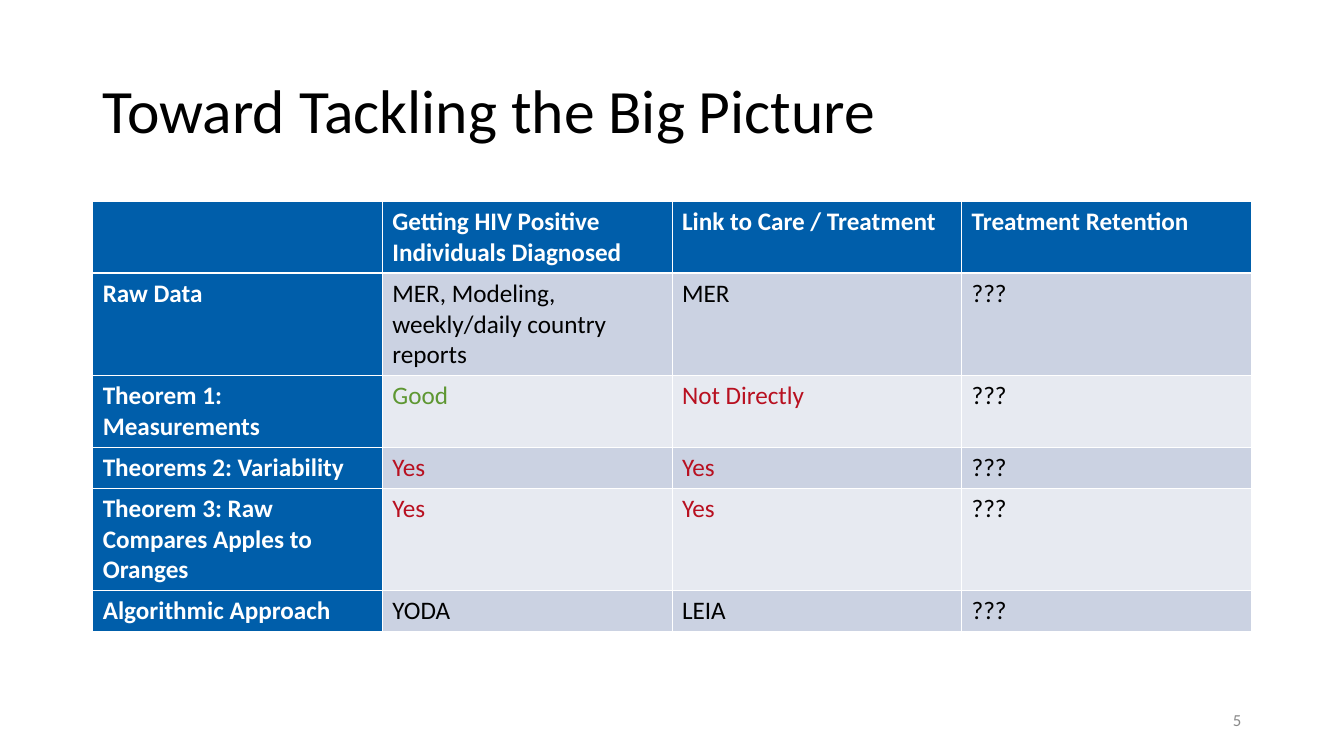
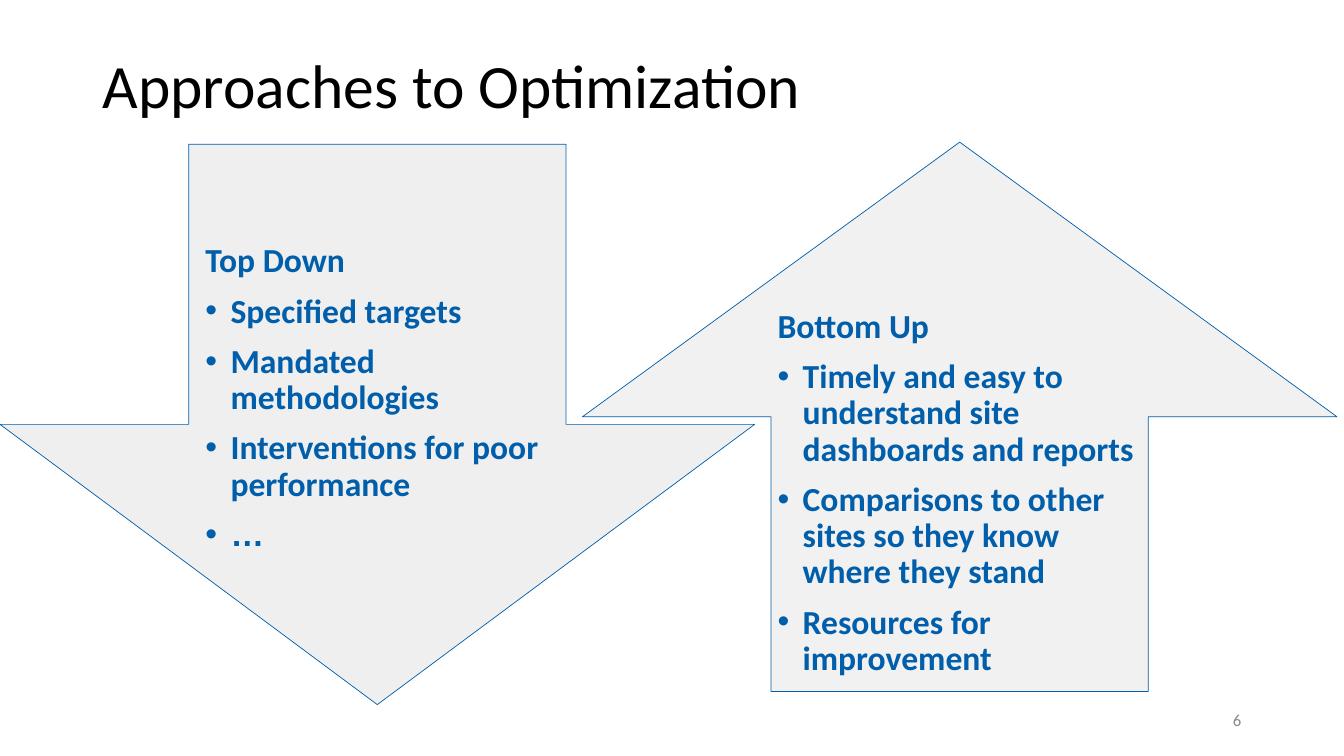
from lxml import etree
from pptx import Presentation
from pptx.dml.color import RGBColor
from pptx.enum.shapes import MSO_SHAPE
from pptx.enum.text import MSO_ANCHOR, PP_ALIGN
from pptx.oxml.ns import qn
from pptx.util import Pt

DOWN_ARROW, UP_ARROW = MSO_SHAPE.DOWN_ARROW, MSO_SHAPE.UP_ARROW
TOP, MIDDLE = MSO_ANCHOR.TOP, MSO_ANCHOR.MIDDLE
LEFT, RIGHT = PP_ALIGN.LEFT, PP_ALIGN.RIGHT

BLUE, GRAY, WHITE, BLACK = "005EAA", "7F7F7F", "FFFFFF", "000000"
GREEN, RED, NUMBER_GRAY = "5E9732", "B81020", "898989"
BANDS = ("E7EAF1", "CBD2E2")

SLIDE_SIZE = (960.48, 540)
MARGIN, CONTENT_WIDTH = 66.24, 828
TITLE_HEIGHT = 104.4
NUMBER_BOX = (678.24, 500.4, 216, 28.8)
INSETS = {"margin_left": Pt(7.2), "margin_right": Pt(7.2),
          "margin_top": Pt(3.6), "margin_bottom": Pt(3.6)}

TITLE = {"size": Pt(44), "name": "Calibri"}
NUMBER = {"size": Pt(12), "name": "Calibri"}
LIST = {"size": Pt(24), "name": "Calibri", "bold": True}
CELL = {"size": Pt(18), "name": "Calibri", "bold": False}
HEADING_CELL = {**CELL, "bold": True}
LIST_SPACING, BULLET_INDENT = 10, 18

TABLE_TOP, LINE_HEIGHT, CELL_PADDING = 144, 22, 7.2
ROW_LINES = (2, 3, 2, 1, 3, 1)
ROWS = (
    ("", "Getting HIV Positive Individuals Diagnosed", "Link to Care / Treatment",
     "Treatment Retention"),
    ("Raw Data", "MER, Modeling, weekly/daily country reports", "MER", "???"),
    ("Theorem 1: Measurements", "Good", "Not Directly", "???"),
    ("Theorems 2: Variability", "Yes", "Yes", "???"),
    ("Theorem 3: Raw Compares Apples to Oranges", "Yes", "Yes", "???"),
    ("Algorithmic Approach", "YODA", "LEIA", "???"),
)
ANSWER_COLORS = {"Good": GREEN, "Not Directly": RED, "Yes": RED}
THIN_BORDER, HEADER_BORDER = 0.45, 1.47

TOP_DOWN = ("Top Down", "Specified targets", "Mandated methodologies",
            "Interventions for poor performance", "…")
BOTTOM_UP = ("Bottom Up", "Timely and easy to understand site dashboards and reports",
             "Comparisons to other sites so they know where they stand",
             "Resources for improvement")


def rgb(color):
    return RGBColor.from_string(color)


def points(values):
    return [Pt(value) for value in values]


def set_attributes(target, values):
    for name, value in values.items():
        setattr(target, name, value)


def add_run(paragraph, text, font, color):
    run = paragraph.add_run()
    run.text = text
    set_attributes(run.font, font)
    run.font.color.rgb = rgb(color)


def add_text_frame(slide, box, anchor):
    frame = slide.shapes.add_textbox(*points(box)).text_frame
    set_attributes(frame, {**INSETS, "word_wrap": True, "vertical_anchor": anchor})
    return frame


def add_line_of_text(slide, box, text, font, color, alignment):
    paragraph = add_text_frame(slide, box, MIDDLE).paragraphs[0]
    set_attributes(paragraph, {"alignment": alignment, "line_spacing": 0.9})
    add_run(paragraph, text, font, color)


def add_title(slide, top, text):
    box = (MARGIN, top, CONTENT_WIDTH, TITLE_HEIGHT)
    add_line_of_text(slide, box, text, TITLE, BLACK, LEFT)


def add_slide_number(slide, number):
    add_line_of_text(slide, NUMBER_BOX, str(number), NUMBER, NUMBER_GRAY, RIGHT)


def add_bullet(paragraph, color):
    properties = paragraph._p.get_or_add_pPr()
    properties.set("marL", str(Pt(BULLET_INDENT)))
    properties.set("indent", str(-Pt(BULLET_INDENT)))
    bullet_color = etree.SubElement(properties, qn("a:buClr"))
    etree.SubElement(bullet_color, qn("a:srgbClr"), val=color)
    etree.SubElement(properties, qn("a:buFont"), typeface="Arial")
    etree.SubElement(properties, qn("a:buChar"), char="•")


def add_headed_list(slide, box, texts):
    """Write the first text as a heading and the others as bullets."""
    frame = add_text_frame(slide, box, TOP)
    for index, text in enumerate(texts):
        paragraph = frame.add_paragraph() if index else frame.paragraphs[0]
        if index:
            add_bullet(paragraph, BLUE)
            paragraph.space_before = Pt(LIST_SPACING)
        paragraph.line_spacing = 0.9
        font = {**LIST, "name": "Arial"} if text == "…" else LIST
        add_run(paragraph, text, font, BLUE)


def add_arrow(slide, kind, box, opacity):
    arrow = slide.shapes.add_shape(kind, *points(box))
    arrow.shadow.inherit = False
    arrow.fill.solid()
    arrow.fill.fore_color.rgb = rgb(GRAY)
    color = arrow._element.spPr.find(qn("a:solidFill"))[0]
    etree.SubElement(color, qn("a:alpha"), val=str(opacity * 1000))
    arrow.line.color.rgb = rgb(BLUE)
    arrow.line.width = Pt(0.5)


def set_borders(cell, widths):
    properties = cell._tc.get_or_add_tcPr()
    for side, width in widths.items():
        line = etree.SubElement(properties, qn(f"a:ln{side}"), w=str(Pt(width)))
        fill = etree.SubElement(line, qn("a:solidFill"))
        etree.SubElement(fill, qn("a:srgbClr"), val=WHITE)


def fill_cell(cell, text, row, column):
    heading = row == 0 or column == 0
    set_borders(cell, {"L": THIN_BORDER, "R": THIN_BORDER,
                       "T": HEADER_BORDER if row == 1 else THIN_BORDER,
                       "B": HEADER_BORDER if row == 0 else THIN_BORDER})
    cell.fill.solid()
    cell.fill.fore_color.rgb = rgb(BLUE if heading else BANDS[row % 2])
    set_attributes(cell, INSETS)
    if text:
        color = WHITE if heading else ANSWER_COLORS.get(text, BLACK)
        add_run(cell.text_frame.paragraphs[0], text,
                HEADING_CELL if heading else CELL, color)


def add_results_table(slide):
    heights = [lines * LINE_HEIGHT + CELL_PADDING for lines in ROW_LINES]
    box = (MARGIN, TABLE_TOP, CONTENT_WIDTH, sum(heights))
    table = slide.shapes.add_table(len(ROWS), len(ROWS[0]), *points(box)).table
    set_attributes(table, {"first_col": True, "horz_banding": False})
    for row, (texts, height) in enumerate(zip(ROWS, heights)):
        table.rows[row].height = Pt(height)
        for column, text in enumerate(texts):
            fill_cell(table.cell(row, column), text, row, column)


def build_big_picture(slide):
    add_title(slide, 28.8, "Toward Tackling the Big Picture")
    add_results_table(slide)


def build_approaches(slide):
    add_arrow(slide, DOWN_ARROW, (0, 103, 539.3, 400.3), 12)
    add_arrow(slide, UP_ARROW, (416.2, 101.5, 539.3, 392.4), 10)
    add_title(slide, 10.8, "Approaches to Optimization")
    add_headed_list(slide, (139.7, 170.6, 267.8, 309.6), TOP_DOWN)
    add_headed_list(slide, (548.6, 217.4, 270.7, 309.6), BOTTOM_UP)


def main():
    presentation = Presentation()
    presentation.slide_width, presentation.slide_height = points(SLIDE_SIZE)
    blank = presentation.slide_layouts[6]
    for number, build in enumerate((build_big_picture, build_approaches), start=5):
        slide = presentation.slides.add_slide(blank)
        build(slide)
        add_slide_number(slide, number)
    presentation.save("out.pptx")


if __name__ == "__main__":
    main()
